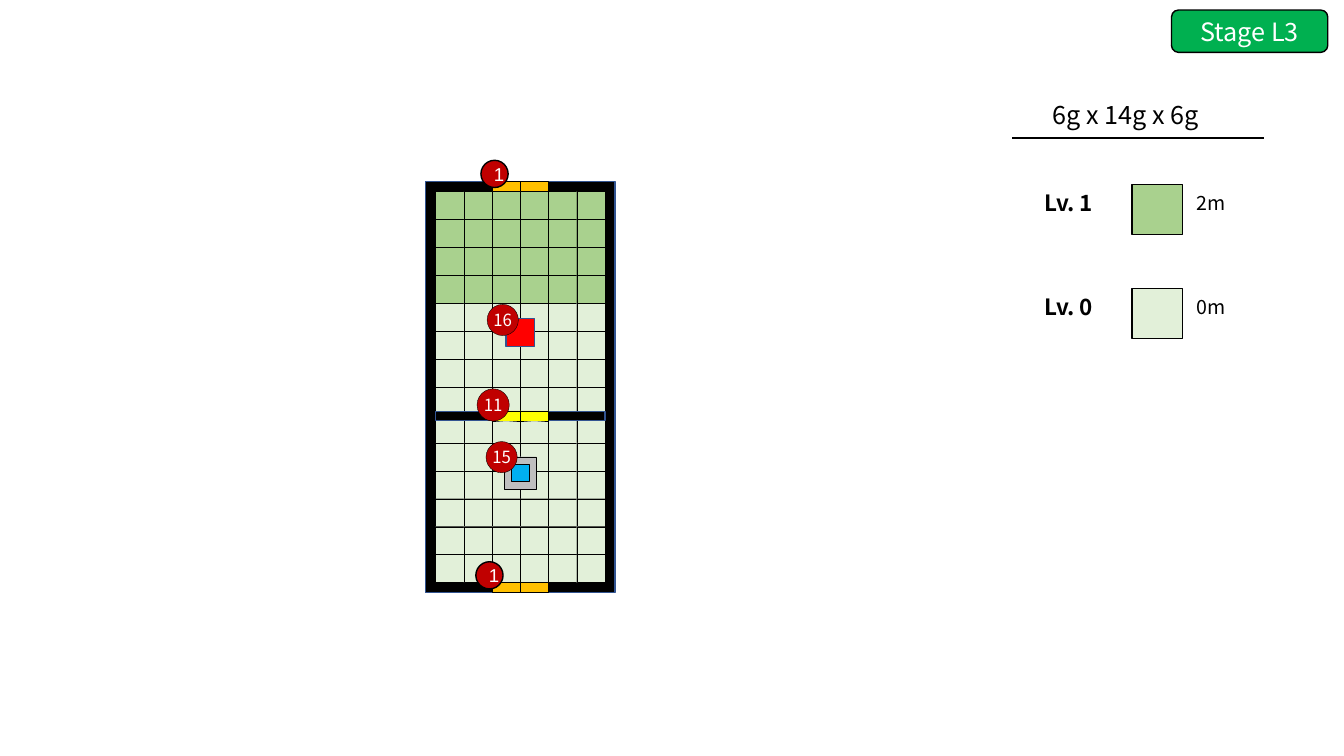
from pptx import Presentation
from pptx.dml.color import RGBColor
from pptx.enum.shapes import MSO_CONNECTOR, MSO_SHAPE
from pptx.enum.text import MSO_ANCHOR, PP_ALIGN
from pptx.oxml.ns import qn
from pptx.util import Inches, Pt
from lxml import etree

RECT, ROUNDED, OVAL = MSO_SHAPE.RECTANGLE, MSO_SHAPE.ROUNDED_RECTANGLE, MSO_SHAPE.OVAL
STRAIGHT = MSO_CONNECTOR.STRAIGHT
LEFT, CENTER = PP_ALIGN.LEFT, PP_ALIGN.CENTER
TOP, MIDDLE = MSO_ANCHOR.TOP, MSO_ANCHOR.MIDDLE

THEME = {
    "black": "000000", "white": "FFFFFF", "badge": "00B050", "outline": "325491",
    "level 1": "A9D18E", "level 0": "E2F0D9", "gate": "FFC000", "inner gate": "FFFF00",
    "plinth": "BFBFBF", "core": "00B0F0", "block": "FF0000", "marker": "C00000",
    "font": "Noto Sans CJK KR", "number font": "Arial",
    "heading": 18, "label": 16, "height": 14, "marker size": 12, "gate number": 13.3,
    "thin": 0.25, "line": 1,
}

# Slide grid: 100 columns by 100 rows, in inches
SLIDE_W, SLIDE_H = 13.33, 7.5
COL, ROW = SLIDE_W / 100, SLIDE_H / 100

# Floor plan: 6 by 14 cells inside a wall, in inches
COLUMNS, ROWS, RAISED_ROWS = 6, 14, 4
FLOOR_X, FLOOR_Y, WALL = 4.32, 1.9, 0.1
CELL_W, CELL_H = 1.68 / COLUMNS, 3.88 / ROWS

prs = Presentation()
prs.slide_width, prs.slide_height = Inches(SLIDE_W), Inches(SLIDE_H)
slide = prs.slides.add_slide(prs.slide_layouts[5])
shapes = slide.shapes


def add_box(kind, center_x, center_y, width, height, fill, outline="black", weight="thin"):
    box = shapes.add_shape(kind, Inches(center_x - width / 2), Inches(center_y - height / 2),
                           Inches(width), Inches(height))
    box.shadow.inherit = False
    box.fill.solid()
    box.fill.fore_color.rgb = RGBColor.from_string(THEME[fill])
    box.line.color.rgb = RGBColor.from_string(THEME[outline])
    box.line.width = Pt(THEME[weight])
    return box


def write(holder, text, size, color="black", font="font", bold=False,
          align=LEFT, anchor=TOP, **frame_format):
    frame = holder.text_frame
    frame.text = text
    for name, value in {"vertical_anchor": anchor, "word_wrap": True, **frame_format}.items():
        setattr(frame, name, value)
    paragraph = frame.paragraphs[0]
    paragraph.alignment = align
    run_font = paragraph.runs[0].font
    for name, value in {"name": THEME[font], "size": Pt(THEME[size]), "bold": bold}.items():
        setattr(run_font, name, value)
    run_font.color.rgb = RGBColor.from_string(THEME[color])


# Stage title on its badge
badge = add_box(ROUNDED, 92.98 * COL, 4.13 * ROW, 11.63 * COL, 5.6 * ROW, "badge", weight="line")
stage = shapes.title
badge_place = {name: getattr(badge, name) for name in ("left", "top", "width", "height")}
for name, value in badge_place.items():
    setattr(stage, name, value)
write(stage, "Stage L3", "heading", "white", align=CENTER, anchor=MIDDLE)
badge.element.addnext(stage.element)

# Room size and its rule
room_size = shapes.add_textbox(Inches(77.57 * COL), Inches(12.53 * ROW),
                               Inches(19.05 * COL), Inches(5.33 * ROW))
write(room_size, "6g x 14g x 6g", "heading")
rule_y = Inches(18.27 * ROW)
rule = shapes.add_connector(STRAIGHT, Inches(75.32 * COL), rule_y, Inches(94.07 * COL), rule_y)
rule.line.color.rgb = RGBColor.from_string(THEME["black"])
rule.line.width = Pt(THEME["line"])
etree.SubElement(rule.element.spPr, qn("a:effectLst"))

# Legend of floor levels
LEGEND_Y, LEGEND_STEP, SWATCH = 24.4, 13.75, 0.5
for index, (level, height, fill) in enumerate([("Lv. 1", "2m", "level 1"),
                                               ("Lv. 0", "0m", "level 0")]):
    y = (LEGEND_Y + index * LEGEND_STEP) * ROW
    add_box(RECT, 86.1 * COL, y + SWATCH / 2, SWATCH, SWATCH, fill, weight="line")
    level_label = shapes.add_textbox(Inches(76.97 * COL), Inches(y), Inches(8 * COL), Inches(5 * ROW))
    write(level_label, level, "label", bold=True)
    height_label = shapes.add_textbox(Inches(88.3 * COL), Inches(y + 0.25 * ROW),
                                      Inches(5.5 * COL), Inches(4.5 * ROW))
    write(height_label, height, "height")

# Outer wall and floor cells
floor_w, floor_h = COLUMNS * CELL_W, ROWS * CELL_H
middle_x = FLOOR_X + floor_w / 2
add_box(RECT, middle_x, FLOOR_Y + floor_h / 2, floor_w + 2 * WALL, floor_h + 2 * WALL,
        "black", "outline", "line")
for row in range(ROWS):
    level = "level 1" if row < RAISED_ROWS else "level 0"
    for column in range(COLUMNS):
        add_box(RECT, FLOOR_X + (column + 0.5) * CELL_W, FLOOR_Y + (row + 0.5) * CELL_H,
                CELL_W, CELL_H, level)

# Dividing wall and the objects on the floor, placed by row
for row, width, height, fill, outline, weight in [
    (8.03, floor_w, 0.09, "black", "outline", "line"),
    (10.07, 0.32, 0.32, "plinth", "black", "thin"),
    (10.07, 0.17, 0.17, "core", "black", "thin"),
    (5.05, 0.28, 0.28, "block", "outline", "line"),
]:
    add_box(RECT, middle_x, FLOOR_Y + row * CELL_H, width, height, fill, outline, weight)

# Gates, each two cells wide
for gate_y, fill in [(FLOOR_Y - WALL / 2, "gate"),
                     (FLOOR_Y + floor_h + WALL / 2, "gate"),
                     (FLOOR_Y + 8.03 * CELL_H, "inner gate")]:
    for column in (2, 3):
        add_box(RECT, FLOOR_X + (column + 0.5) * CELL_W, gate_y, CELL_W, WALL, fill)

# Numbered markers, placed by column and row
OBJECT_MARK = {"size": "marker size", "font": "font", "margin_left": 0}
GATE_MARK = {"size": "gate number", "font": "number font", "margin_left": Inches(0.09)}
for number, column, row, diameter, weight, mark in [
    ("15", 2.34, 9.51, 0.31, "thin", OBJECT_MARK),
    ("16", 2.38, 4.6, 0.31, "thin", OBJECT_MARK),
    ("11", 2.04, 7.64, 0.32, "thin", OBJECT_MARK),
    ("1", 1.91, 13.74, 0.27, "line", GATE_MARK),
    ("1", 2.09, -0.63, 0.27, "line", GATE_MARK),
]:
    marker = add_box(OVAL, FLOOR_X + column * CELL_W, FLOOR_Y + row * CELL_H,
                     diameter, diameter, "marker", weight=weight)
    write(marker, number, color="white", align=CENTER, anchor=MIDDLE, margin_right=0,
          margin_top=0, margin_bottom=0, **{**mark, "word_wrap": False})

prs.save("out.pptx")
